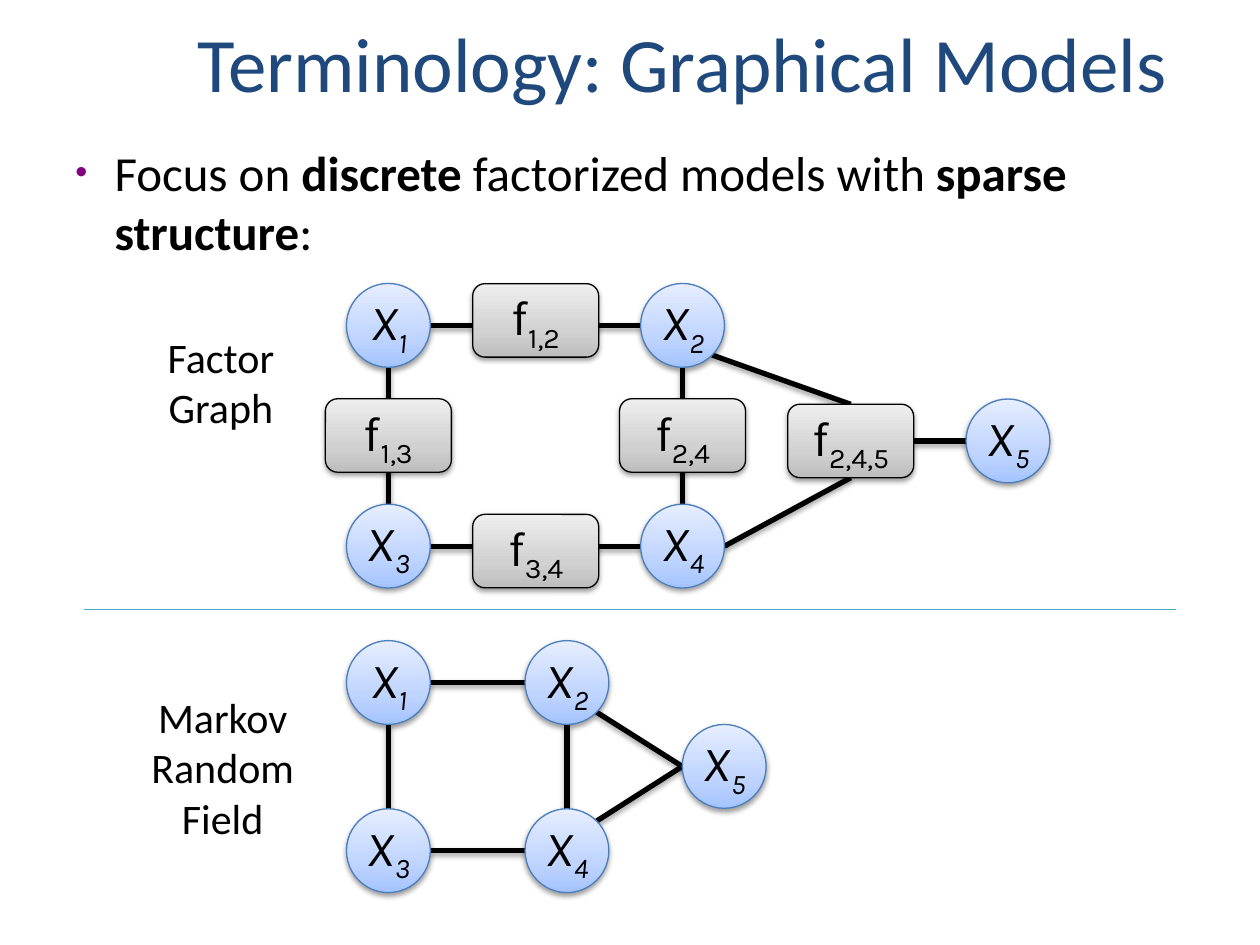
from lxml.etree import SubElement
from pptx import Presentation
from pptx.dml.color import RGBColor
from pptx.enum.shapes import MSO_CONNECTOR as Connector, MSO_SHAPE as Shape
from pptx.enum.text import MSO_ANCHOR as Anchor, PP_ALIGN as Align
from pptx.oxml import parse_xml
from pptx.oxml.ns import nsdecls, qn
from pptx.util import Cm, Pt

COLOURS = {
    "title": "1F497D", "text": "000000", "bullet": "800080",
    "edge": "000000", "divider": "46AAC5",
    "variable_line": "4B7EBC", "factor_line": "000000",
}
GRADIENTS = {
    "variable": {0: "A4C4FF", 35: "BFD4FF", 100: "E6EEFF"},
    "factor": {0: "BDBDBD", 35: "D1D1D1", 100: "EEEEEE"},
}
DIAMETER = 1.69
RADIUS = DIAMETER / 2
DIAGONAL = RADIUS * 0.5 ** 0.5
FACTOR_WIDTH, FACTOR_HEIGHT = 2.54, 1.48
TOP, BOTTOM, RIGHT = 0, 2, 3  # connection sites of a rectangle


def colour(name):
    return RGBColor.from_string(COLOURS[name])


class GraphSlide:
    heading_font, node_font = "Calibri", "Karla"

    def __init__(self, slide):
        self.slide = slide
        self.shapes = slide.shapes

    def style(self, paragraph, size, font, colour_name="text"):
        paragraph.font.size = Pt(size)
        paragraph.font.name = font
        paragraph.font.color.rgb = colour(colour_name)

    def shadow(self, element, distance, opacity):
        properties = element.spPr
        effects = properties.find(qn("a:effectLst"))
        if effects is None:
            effects = SubElement(properties, qn("a:effectLst"))
        if opacity:
            effects.append(parse_xml(
                f'<a:outerShdw {nsdecls("a")} blurRad="{Pt(3.1)}" dist="{Pt(distance)}" '
                f'dir="5400000" rotWithShape="0"><a:srgbClr val="000000">'
                f'<a:alpha val="{opacity * 1000}"/></a:srgbClr></a:outerShdw>'))

    def text(self, left, top, width, height, lines, size, colour_name="text",
             wrap=True, align=Align.LEFT, anchor=Anchor.TOP):
        """Each line is a list of (text, bold) runs."""
        box = self.shapes.add_textbox(Cm(left), Cm(top), Cm(width), Cm(height))
        frame = box.text_frame
        frame.word_wrap = wrap
        frame.vertical_anchor = anchor
        for index, runs in enumerate(lines):
            paragraph = frame.add_paragraph() if index else frame.paragraphs[0]
            paragraph.alignment = align
            self.style(paragraph, size, self.heading_font, colour_name)
            for content, bold in runs:
                run = paragraph.add_run()
                run.text = content
                run.font.bold = bold
        return box

    def bullet(self, paragraph, indent):
        properties = paragraph._p.get_or_add_pPr()
        properties.set("marL", str(Cm(indent)))
        properties.set("indent", str(-Cm(indent)))
        bullet_colour = SubElement(properties, qn("a:buClr"))
        SubElement(bullet_colour, qn("a:srgbClr"), val=COLOURS["bullet"])
        SubElement(properties, qn("a:buSzPct"), val="70000")
        SubElement(properties, qn("a:buFont"), typeface="Arial")
        SubElement(properties, qn("a:buChar"), char="•")
        # Bullet settings come before the default run properties
        defaults = properties.find(qn("a:defRPr"))
        if defaults is not None:
            properties.append(defaults)

    def node(self, kind, preset, center, width, height, letter, subscript):
        x, y = center
        shape = self.shapes.add_shape(
            preset, Cm(x - width / 2), Cm(y - height / 2), Cm(width), Cm(height))
        shape.line.color.rgb = colour(f"{kind}_line")
        shape.line.width = Pt(0.75)
        shape.shadow.inherit = False
        stops = "".join(
            f'<a:gs pos="{position * 1000}"><a:srgbClr val="{value}"/></a:gs>'
            for position, value in GRADIENTS[kind].items())
        shape._element.spPr.insert(2, parse_xml(
            f'<a:gradFill {nsdecls("a")} rotWithShape="1"><a:gsLst>{stops}</a:gsLst>'
            f'<a:lin ang="16200000" scaled="0"/></a:gradFill>'))
        self.shadow(shape._element, 1.6, 38)
        frame = shape.text_frame
        frame.word_wrap = False
        frame.vertical_anchor = Anchor.MIDDLE
        paragraph = frame.paragraphs[0]
        paragraph.alignment = Align.CENTER
        self.style(paragraph, 28, self.node_font)
        paragraph.add_run().text = letter
        index = paragraph.add_run()
        index.text = subscript
        index.font._element.set("baseline", "-25000")
        return shape

    def variable(self, center, subscript):
        shape = self.node("variable", Shape.OVAL, center, DIAMETER, DIAMETER, "X", subscript)
        frame = shape.text_frame
        frame.margin_left = frame.margin_right = frame.margin_top = frame.margin_bottom = 0
        frame.paragraphs[0].font.italic = True

    def factor(self, center, subscript):
        return self.node("factor", Shape.ROUNDED_RECTANGLE, center,
                         FACTOR_WIDTH, FACTOR_HEIGHT, "f", subscript)

    def line(self, start, end, colour_name="edge", width=3, distance=1.8, opacity=35):
        connector = self.shapes.add_connector(
            Connector.STRAIGHT, *(Cm(value) for value in (*start, *end)))
        connector.line.color.rgb = colour(colour_name)
        connector.line.width = Pt(width)
        self.shadow(connector._element, distance, opacity)
        return connector

    def edge(self, start, end):
        """Draw an edge behind the nodes."""
        connector = self.line(start, end)
        self.shapes._spTree.insert(2, connector._element)
        return connector

    def square(self, centers):
        """Draw the edges of the cycle X1, X2, X4, X3."""
        (left, top), (right, bottom) = centers["1"], centers["4"]
        for y in (top, bottom):
            self.edge((left + RADIUS, y), (right - RADIUS, y))
        for x in (left, right):
            self.edge((x, top + RADIUS), (x, bottom - RADIUS))


def grid(left, right, top, bottom, last):
    return {"1": (left, top), "2": (right, top), "3": (left, bottom),
            "4": (right, bottom), "5": last}


def main():
    presentation = Presentation()
    presentation.slide_width, presentation.slide_height = Cm(25.4), Cm(19.05)
    page = GraphSlide(presentation.slides.add_slide(presentation.slide_layouts[6]))

    # Title and statement
    page.text(3.73, 0.2, 20.83, 2.11, [[("Terminology: Graphical Models", False)]], 44,
              "title", anchor=Anchor.BOTTOM)
    statement = page.text(1.27, 2.75, 23.06, 3.38, [[
        ("Focus on ", False), ("discrete", True), (" factorized models with ", False),
        ("sparse structure", True), (":", False)]], 28)
    page.bullet(statement.text_frame.paragraphs[0], 0.79)

    # Nodes of both graphs
    factor_graph = grid(7.83, 13.76, 6.56, 11.01, (20.32, 8.89))
    markov_field = grid(7.83, 11.43, 13.76, 17.15, (14.6, 15.45))
    for centers in (factor_graph, markov_field):
        for subscript, center in centers.items():
            page.variable(center, subscript)
        page.square(centers)
    factor_centers = {"1,2": (10.8, 6.46), "1,3": (7.83, 8.78), "2,4": (13.76, 8.78),
                      "3,4": (10.8, 11.11), "2,4,5": (17.15, 8.89)}
    factors = {name: page.factor(center, name) for name, center in factor_centers.items()}

    # Edges of the factor shared by X2, X4 and X5
    shared, middle = factors["2,4,5"], factor_centers["2,4,5"]
    (x2, y2), (x4, y4), (x5, y5) = (factor_graph[name] for name in "245")
    for start, site in (((x2 + DIAGONAL, y2 + DIAGONAL), TOP),
                        ((x4 + RADIUS, y4), BOTTOM), ((x5 - RADIUS, y5), RIGHT)):
        page.edge(start, middle).end_connect(shared, site)

    # Edges from X2 and X4 to X5 in the Markov random field
    x5, y5 = markov_field["5"]
    for name, direction in (("2", 1), ("4", -1)):
        x, y = markov_field[name]
        page.edge((x + DIAGONAL, y + direction * DIAGONAL), (x5 - RADIUS, y5))

    # Graph labels and divider
    for left, top, width, height, words in (
            (3.12, 6.56, 2.67, 2.31, ("Factor", "Graph")),
            (2.79, 13.81, 3.4, 3.33, ("Markov", "Random", "Field"))):
        page.text(left, top, width, height, [[(word, False)] for word in words], 24,
                  wrap=False, align=Align.CENTER)
    page.line((1.7, 12.28), (23.7, 12.28), "divider", 0.75, opacity=0)

    presentation.save("out.pptx")


if __name__ == "__main__":
    main()
